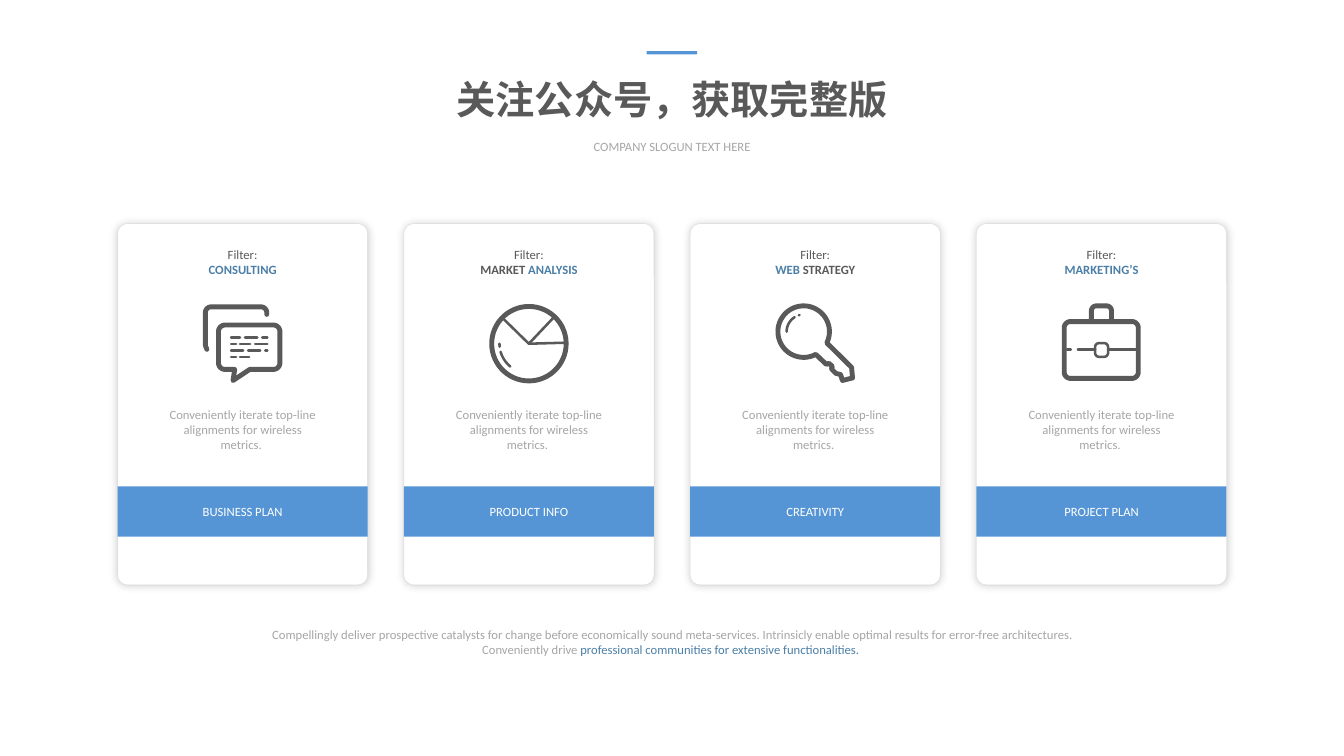
from math import cos, radians, sin

from lxml import etree
from pptx import Presentation
from pptx.dml.color import RGBColor
from pptx.enum.shapes import MSO_SHAPE
from pptx.enum.text import PP_ALIGN
from pptx.oxml.ns import qn
from pptx.util import Pt

CENTER = PP_ALIGN.CENTER
RECT, ROUND_RECT = MSO_SHAPE.RECTANGLE, MSO_SHAPE.ROUNDED_RECTANGLE
BLUE, STEEL, DARK, GRAY = "5595D5", "4B7FA7", "595959", "A6A6A6"
WHITE, EDGE = "FFFFFF", "D9D9D9"
THICK, THIN = 3.5, 1.8

TITLE = "关注公众号，获取完整版"
SLOGAN = "COMPANY SLOGUN TEXT HERE"
BODY = "Conveniently iterate top-line alignments for wireless metrics. "
FOOTER = [
    ("Compellingly deliver prospective catalysts for change before economically "
     "sound meta-services. Intrinsicly enable optimal results for error-free "
     "architectures. Conveniently drive ", GRAY),
    ("professional communities for extensive functionalities. ", STEEL),
]
# icon, heading runs, heading width, button label, button label width
CARDS = [
    ("chat", [("CONSULTING", STEEL)], 64, "BUSINESS PLAN", 72),
    ("pie", [("MARKET ", DARK), ("ANALYSIS", STEEL)], 86, "PRODUCT INFO", 71),
    ("key", [("WEB", STEEL), (" STRATEGY", DARK)], 73, "CREATIVITY", 57),
    ("briefcase", [("MARKETING’S", STEEL)], 68, "PROJECT PLAN", 68),
]

CARD_LEFT, CARD_TOP, CARD_W, CARD_H, CARD_PITCH = 84, 159.8, 178.6, 258, 204.5
ICON_DX, ICON_TOP = 60.9, 216.7


def arc(cx, cy, r, start, end):
    """Points along a circle; degrees run clockwise from the right."""
    steps = max(2, int(abs(end - start) / 6))
    angles = [radians(start + (end - start) * i / steps) for i in range(steps + 1)]
    return [(cx + r * cos(a), cy + r * sin(a)) for a in angles]


def round_box(x1, y1, x2, y2, r, foot=()):
    """Rounded outline; foot points are inserted along the bottom edge."""
    return (arc(x1 + r, y1 + r, r, 180, 270) + arc(x2 - r, y1 + r, r, 270, 360)
            + arc(x2 - r, y2 - r, r, 0, 90) + list(foot)
            + arc(x1 + r, y2 - r, r, 90, 180))


CHAT_DASHES = [
    [(20.2, 26.6), (30.2, 38.9), (42.5, 46.1)],
    [(20.2, 23.8), (26.6, 33.8), (37.4, 46.1)],
    [(20.2, 28.8), (32.4, 41), (44.6, 46.1)],
    [(20.2, 23.8), (26.6, 33.1)],
]
CHAT_TAIL = [(33.5, 47.2), (21.6, 55.1), (22.8, 47.2)]
KEY_SHANK = [
    (54.4, 45.7), (55.1, 53.3), (47.9, 55.1), (46.6, 50.9), (43.2, 50),
    (40, 46.8), (40.7, 45), (38.2, 42.8), (36.4, 43.6),
]
PIE_X, PIE_Y = 28.4, 28.8

# pen width -> strokes; each stroke: closed or not, points from the icon corner
ICONS = {
    "chat": {
        THICK: [
            (True, round_box(11.2, 15.5, 55.1, 47.2, 4.7, CHAT_TAIL)),
            (False, [(2.9, 32.8), (1.8, 30)] + arc(6, 6.7, 4.2, 180, 270)
             + arc(41.5, 6.7, 4.2, 270, 360) + [(45.7, 7.9)]),
        ],
        THIN: [(False, [(x1, 24.4 + 4.6 * row), (x2, 24.4 + 4.6 * row)])
               for row, dashes in enumerate(CHAT_DASHES) for x1, x2 in dashes],
    },
    "pie": {
        THICK: [(True, arc(PIE_X, PIE_Y, 26.6, 0, 354))],
        THIN: [
            (False, [(10.4, 11.2), (PIE_X, PIE_Y), (45.8, 10.4)]),
            (False, [(PIE_X, PIE_Y), (54, 28.1)]),
            (False, arc(PIE_X, PIE_Y, 21, 164, 129)),
            (False, arc(PIE_X, PIE_Y, 21, 180, 174)),
        ],
    },
    "key": {
        THICK: [(True, arc(20.2, 20.2, 18.4, 62, 386) + KEY_SHANK)],
        THIN: [
            (False, arc(20.2, 20.2, 12.2, 180, 238)),
            (False, [(16.7, 8.5), (17.2, 8.3)]),
        ],
    },
    "briefcase": {
        THICK: [
            (True, round_box(1.8, 13, 54.7, 53.6, 4.5)),
            (False, [(21.2, 13)] + arc(24.8, 5.4, 3.6, 180, 270)
             + arc(32, 5.4, 3.6, 270, 360) + [(35.6, 13)]),
        ],
        THIN: [
            (True, round_box(23.8, 28.4, 33.1, 38.2, 2.9)),
            (False, [(3.6, 33.1), (6.5, 33.1)]),
            (False, [(11.5, 33.1), (23.8, 33.1)]),
            (False, [(33.1, 33.1), (53.3, 33.1)]),
        ],
    },
}


def rgb(color):
    return RGBColor.from_string(color)


def add_box(slide, kind, x, y, w, h, fill):
    sp = slide.shapes.add_shape(kind, Pt(x), Pt(y), Pt(w), Pt(h))
    sp.shadow.inherit = False
    sp.fill.solid()
    sp.fill.fore_color.rgb = rgb(fill)
    sp.line.fill.background()
    return sp


def add_glow(sp):
    """Soft, undisplaced black shadow around a card."""
    effects = sp._element.spPr.find(qn("a:effectLst"))
    shadow = etree.SubElement(effects, qn("a:outerShdw"), blurRad=str(Pt(6)),
                              dist="0", dir="18900000", rotWithShape="0")
    black = etree.SubElement(shadow, qn("a:srgbClr"), val="000000")
    etree.SubElement(black, qn("a:alpha"), val="20000")


def add_text(slide, cx, y, w, h, paragraphs, size=9, wrap=False):
    """Text box centred on cx; each run is (text, color[, bold])."""
    box = slide.shapes.add_textbox(Pt(cx - w / 2), Pt(y), Pt(w), Pt(h))
    tf = box.text_frame
    tf.word_wrap = wrap
    for i, runs in enumerate(paragraphs):
        p = tf.add_paragraph() if i else tf.paragraphs[0]
        p.alignment = CENTER
        for text, color, *bold in runs:
            r = p.add_run()
            r.text = text
            r.font.name = "Calibri"
            r.font.size = Pt(size)
            r.font.bold = bool(bold)
            r.font.color.rgb = rgb(color)


def add_strokes(slide, x, y, pen, strokes):
    """One unfilled freeform, with round ends and corners, for all strokes."""
    builder = None
    for closed, points in strokes:
        (x0, y0), *rest = [(Pt(x + px), Pt(y + py)) for px, py in points]
        if builder is None:
            builder = slide.shapes.build_freeform(x0, y0)
        else:
            builder.move_to(x0, y0)
        builder.add_line_segments(rest, close=closed)
    sp = builder.convert_to_shape()
    sp.shadow.inherit = False
    sp.fill.background()
    sp.line.color.rgb = rgb(DARK)
    sp.line.width = Pt(pen)
    ln = sp.line._get_or_add_ln()
    ln.set("cap", "rnd")
    etree.SubElement(ln, qn("a:round"))


def add_card(slide, x, icon, heading, heading_w, label, label_w):
    cx = x + CARD_W / 2
    card = add_box(slide, ROUND_RECT, x, CARD_TOP, CARD_W, CARD_H, WHITE)
    card.adjustments[0] = 0.04
    card.line.color.rgb = rgb(EDGE)
    card.line.width = Pt(0.25)
    add_glow(card)
    add_box(slide, RECT, x, 347.4, CARD_W, 36, BLUE)
    bold_runs = [(text, color, True) for text, color in heading]
    add_text(slide, cx, 173, heading_w, 29, [[("Filter:", DARK)], bold_runs])
    add_text(slide, cx, 286.8, 127.4, 40, [[(BODY, GRAY)]], wrap=True)
    add_text(slide, cx, 356.5, label_w, 18, [[(label, WHITE)]])
    for pen, strokes in ICONS[icon].items():
        add_strokes(slide, x + ICON_DX, ICON_TOP, pen, strokes)


def main():
    prs = Presentation()
    prs.slide_width, prs.slide_height = Pt(960), Pt(540)
    slide = prs.slides.add_slide(prs.slide_layouts[6])
    middle = 480
    for i, card in enumerate(CARDS):
        add_card(slide, CARD_LEFT + i * CARD_PITCH, *card)
    add_text(slide, middle, 444.2, 597, 40, [FOOTER], wrap=True)
    add_text(slide, middle, 50.4, 325.4, 41, [[(TITLE, DARK, True)]], size=28)
    add_box(slide, RECT, middle - 18, 36.6, 36, 2.2, BLUE)
    add_text(slide, middle, 95.8, 128, 18, [[(SLOGAN, GRAY)]])
    prs.save("out.pptx")


if __name__ == "__main__":
    main()
